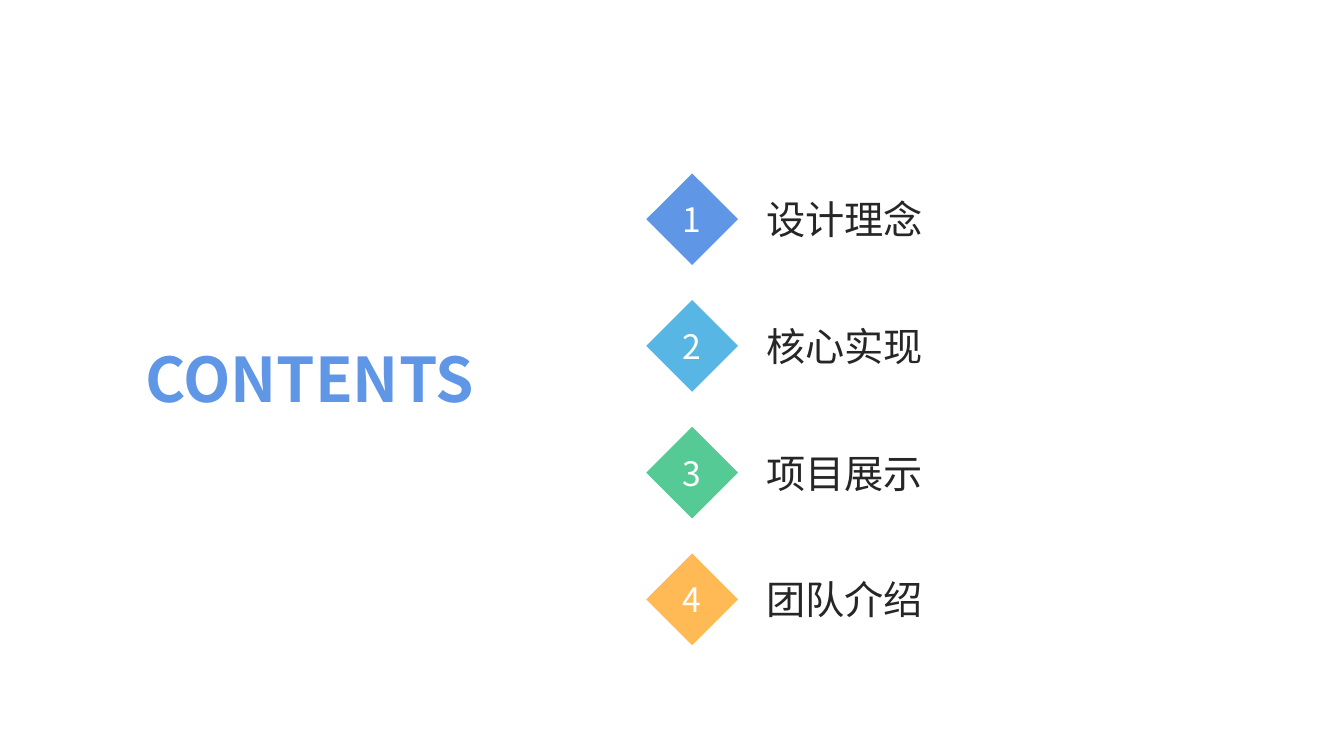
"""Build a contents slide with four numbered diamonds."""
from pptx import Presentation
from pptx.dml.color import RGBColor
from pptx.enum.shapes import MSO_SHAPE
from pptx.enum.text import MSO_ANCHOR, MSO_AUTO_SIZE, PP_ALIGN
from pptx.oxml.ns import qn
from pptx.util import Inches, Pt
from lxml import etree

DIAMOND = MSO_SHAPE.DIAMOND
MIDDLE = MSO_ANCHOR.MIDDLE
GROW = MSO_AUTO_SIZE.SHAPE_TO_FIT_TEXT
LEFT, CENTER, JUSTIFY = PP_ALIGN.LEFT, PP_ALIGN.CENTER, PP_ALIGN.JUSTIFY

FONT = "Noto Sans CJK SC"
BLUE, WHITE, INK = "6096E6", "FFFFFF", "262626"
TITLE = "CONTENTS"
ITEMS = [
    ("设计理念", BLUE),
    ("核心实现", "58B6E5"),
    ("项目展示", "56CA95"),
    ("团队介绍", "FFBA55"),
]
TOP, STEP, SIDE = 1.72, 1.257, 0.91


def color(code):
    return RGBColor.from_string(code)


def write(frame, text, size, code, align, bold=False):
    para = frame.paragraphs[0]
    para.alignment = align
    run = para.add_run()
    run.text = text
    font = run.font
    font.name, font.size, font.bold = FONT, Pt(size), bold
    font.color.rgb = color(code)
    props = run._r.get_or_add_rPr()
    etree.SubElement(props, qn("a:ea")).set("typeface", FONT)


def label(shapes, spot, text, size, code, align, bold=False):
    box = shapes.add_textbox(*map(Inches, spot))
    frame = box.text_frame
    frame.word_wrap = True
    frame.auto_size = GROW
    write(frame, text, size, code, align, bold)


def badge(shapes, top, number, fill):
    shape = shapes.add_shape(DIAMOND, *map(Inches, (6.41, top, SIDE, SIDE)))
    shape.shadow.inherit = False
    shape.fill.solid()
    shape.fill.fore_color.rgb = color(fill)
    shape.line.fill.background()
    shape.text_frame.vertical_anchor = MIDDLE
    write(shape.text_frame, str(number), 24, WHITE, CENTER)


def main():
    deck = Presentation()
    deck.slide_width, deck.slide_height = Inches(13.33), Inches(7.5)
    slide = deck.slides.add_slide(deck.slide_layouts[6])
    for row, (text, fill) in enumerate(ITEMS):
        top = TOP + row * STEP
        group = slide.shapes.add_group_shape()
        badge(group.shapes, top, row + 1, fill)
        label(group.shapes, (7.5, top + 0.17, 2.62, 0.57), text, 28, INK, JUSTIFY)
    label(slide.shapes, (1.34, 3.33, 3.67, 0.84), TITLE, 44, BLUE, LEFT, True)
    deck.save("out.pptx")


if __name__ == "__main__":
    main()
